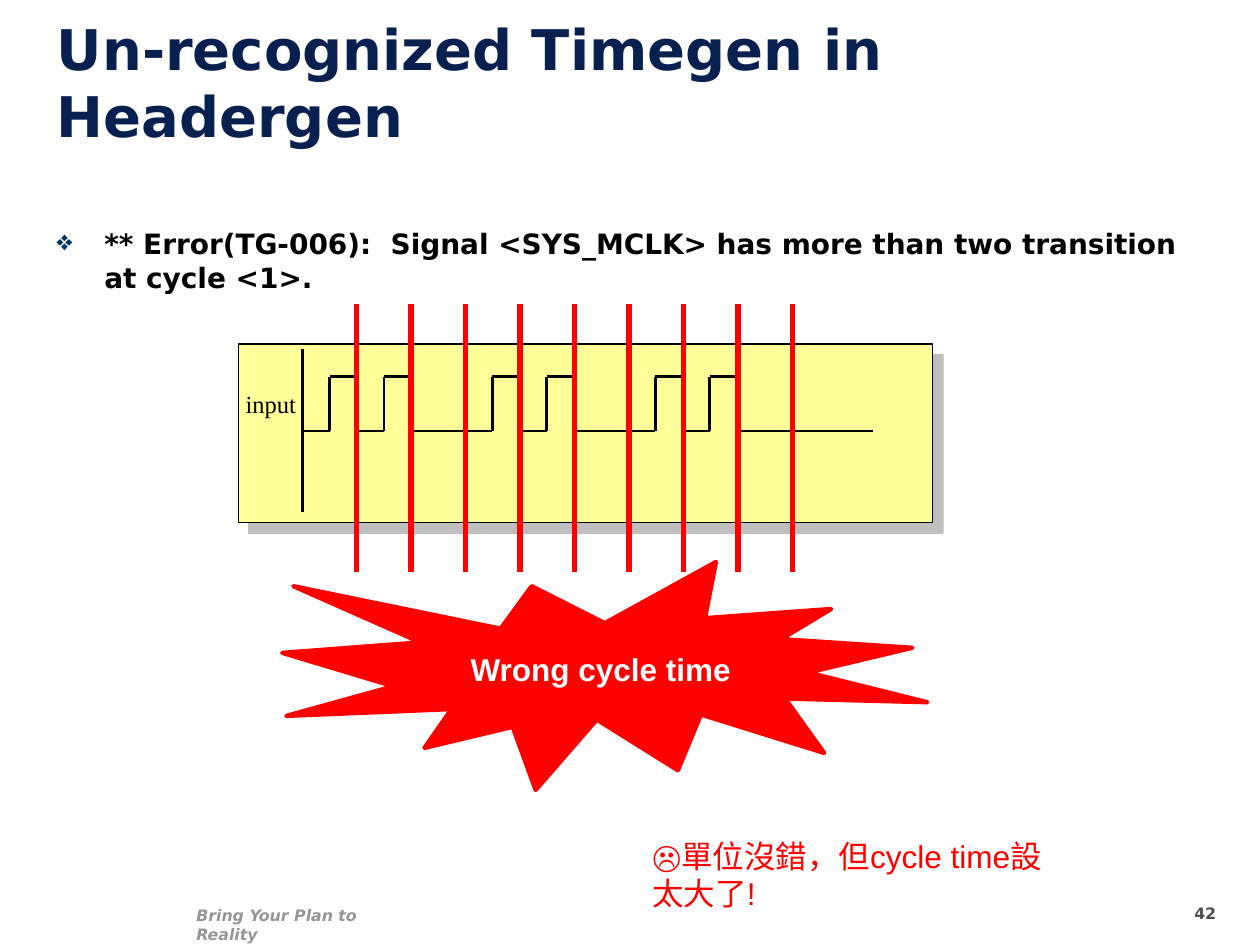
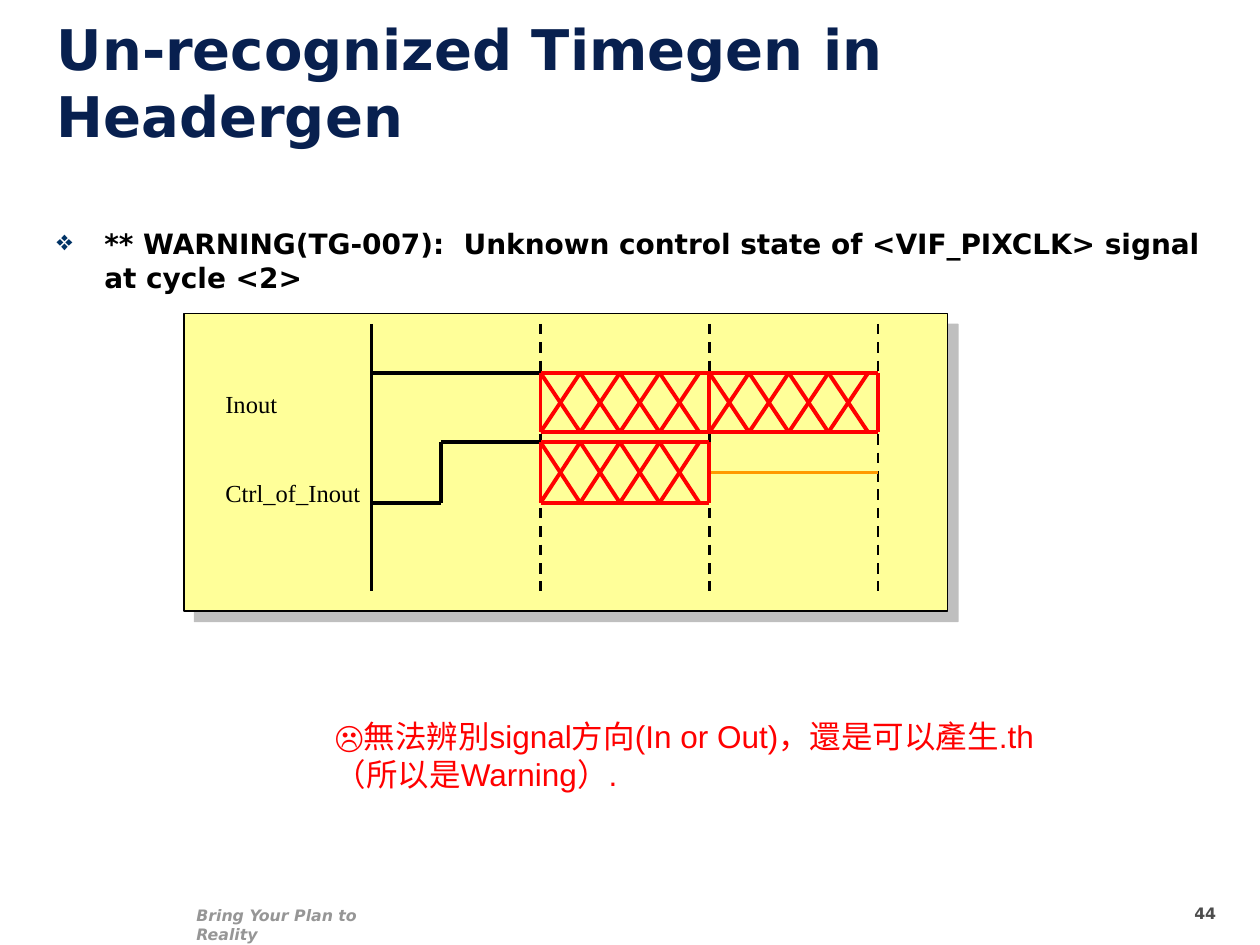
from itertools import pairwise

from lxml import etree
from pptx import Presentation
from pptx.dml.color import RGBColor
from pptx.enum.dml import MSO_LINE
from pptx.enum.shapes import MSO_CONNECTOR, MSO_SHAPE
from pptx.enum.text import MSO_ANCHOR, MSO_AUTO_SIZE, PP_ALIGN
from pptx.oxml.ns import qn
from pptx.util import Inches, Pt

BLACK, WHITE, RED, ORANGE = "000000", "FFFFFF", "FF0000", "FF9900"
NAVY, BULLET_BLUE, PALE_YELLOW = "08204F", "003366", "FFFF99"
FOOTER_GREY, NUMBER_GREY, SHADOW_GREY = "969696", "4D4D4D", "808080"

# Each style is a text colour and the font attributes that go with it.
STYLES = {
    "title": (NAVY, dict(name="DejaVu Sans", size=Pt(32), bold=True)),
    "message": (BLACK, dict(name="DejaVu Sans", size=Pt(16), bold=True)),
    "footer": (FOOTER_GREY, dict(name="DejaVu Sans", size=Pt(9), bold=True, italic=True)),
    "number": (NUMBER_GREY, dict(name="DejaVu Sans", size=Pt(9), bold=True)),
    "signal": (BLACK, dict(name="Times New Roman", size=Pt(14), bold=False)),
    "verdict": (WHITE, dict(name="Arial", size=Pt(18), bold=True)),
    "remark": (RED, dict(name="Arial", size=Pt(18), bold=False)),
}


def rgb(hex_color):
    return RGBColor.from_string(hex_color)


def inches(*lengths):
    return [Inches(length) for length in lengths]


def write(paragraph, text, style):
    paragraph.text = text
    color, font_values = STYLES[style]
    for run in paragraph.runs:
        for attribute, value in font_values.items():
            setattr(run.font, attribute, value)
        run.font.color.rgb = rgb(color)


def add_text(slide, box, text, style):
    frame = slide.shapes.add_textbox(*inches(*box)).text_frame
    frame.word_wrap = True
    write(frame.paragraphs[0], text, style)
    return frame


def add_title(slide, text):
    title = slide.shapes.title
    title.left, title.top, title.width, title.height = inches(0.35, 0.28, 7.17, 0.95)
    frame = title.text_frame
    frame.auto_size = MSO_AUTO_SIZE.NONE
    frame.vertical_anchor = MSO_ANCHOR.BOTTOM
    frame.paragraphs[0].alignment = PP_ALIGN.LEFT
    write(frame.paragraphs[0], text, "title")


def add_message(slide, text):
    """Add the tool's message as a paragraph with a diamond bullet."""
    paragraph = add_text(slide, (0.35, 1.75, 9.29, 1.06), text, "message").paragraphs[0]
    properties = paragraph._p.get_or_add_pPr()
    properties.set("marL", str(Inches(0.38)))
    properties.set("indent", str(-Inches(0.38)))
    bullet_color = etree.SubElement(properties, qn("a:buClr"))
    etree.SubElement(bullet_color, qn("a:srgbClr"), val=BULLET_BLUE)
    etree.SubElement(properties, qn("a:buChar"), char="❖")


def add_message_slide(deck, number, message):
    slide = deck.slides.add_slide(deck.slide_layouts[5])
    add_text(slide, (1.46, 7.14, 1.68, 0.25), "Bring Your Plan to Reality", "footer")
    add_text(slide, (9.38, 7.12, 0.58, 0.27), str(number), "number")
    add_title(slide, "Un-recognized Timegen in Headergen")
    add_message(slide, message)
    return slide


def add_filled_shape(slide, preset, box, fill, outline, outline_width):
    shape = slide.shapes.add_shape(preset, *inches(*box))
    shape.shadow.inherit = False
    shape.fill.solid()
    shape.fill.fore_color.rgb = rgb(fill)
    shape.line.color.rgb = rgb(outline)
    shape.line.width = Pt(outline_width)
    return shape


def add_diagram_panel(slide, box):
    """Add the yellow panel with a hard shadow to its lower right."""
    panel = add_filled_shape(slide, MSO_SHAPE.RECTANGLE, box, PALE_YELLOW, BLACK, 0.75)
    effects = panel._element.spPr.find(qn("a:effectLst"))
    shadow = etree.SubElement(effects, qn("a:outerShdw"), blurRad="0",
                              dist=str(Pt(8.5)), dir=str(45 * 60000),
                              algn="ctr", rotWithShape="0")
    color = etree.SubElement(shadow, qn("a:srgbClr"), val=SHADOW_GREY)
    etree.SubElement(color, qn("a:alpha"), val="50000")


def add_line(slide, start, end, color=BLACK, width=1.5, dashed=False):
    connector = slide.shapes.add_connector(MSO_CONNECTOR.STRAIGHT, *inches(*start, *end))
    connector.line.color.rgb = rgb(color)
    connector.line.width = Pt(width)
    if dashed:
        connector.line.dash_style = MSO_LINE.DASH
    etree.SubElement(connector._element.spPr, qn("a:effectLst"))


def add_trace(slide, points, width):
    for start, end in pairwise(points):
        add_line(slide, start, end, width=width)


def add_frame_marks(slide, marks, top, bottom):
    """Mark the time axis with a solid line and each later frame with a dashed one."""
    for index, x in enumerate(marks):
        add_line(slide, (x, top), (x, bottom), dashed=index > 0)


def add_unknown_state(slide, marks, top, bottom):
    """Fill each cycle between neighbouring marks with a row of crosses."""
    cross_count, cross_width = 4, 0.315

    def red_line(start, end):
        add_line(slide, start, end, RED, 2.25)

    for left, right in pairwise(marks):
        for y in (top, bottom):
            red_line((left, y), (right, y))
        for index in range(cross_count):
            cross_left = left + index * cross_width
            cross_right = cross_left + cross_width
            red_line((cross_left, top), (cross_right, bottom))
            red_line((cross_right, top), (cross_left, bottom))
    for x in marks:
        red_line((x, top), (x, bottom))


def add_double_pulse_diagram(slide):
    axis, last_mark, frame_count = 2.4, 6.28, 3
    high, low = 2.99, 3.42
    frame_width = (last_mark - axis) / frame_count
    step = frame_width / 6
    marks = [axis + index * frame_width for index in range(frame_count + 1)]

    add_diagram_panel(slide, (1.89, 2.73, 5.51, 1.42))
    add_frame_marks(slide, marks, 2.77, 4.06)
    add_text(slide, (1.85, 3.04, 1.29, 0.65), "input", "signal")
    two_pulses = [(0, low), (1, low), (1, high), (2, high), (2, low),
                  (3, low), (3, high), (4, high), (4, low), (6, low)]
    for frame_left in marks[:-1]:
        add_trace(slide, [(frame_left + steps * step, y) for steps, y in two_pulses], 1.5)
    add_line(slide, (last_mark, low), (6.93, low))


def add_cycle_cuts(slide):
    first, last, count = 2.83, 6.29, 9
    for index in range(count):
        x = first + index * (last - first) / (count - 1)
        add_line(slide, (x, 2.41), (x, 4.54), RED, 3)


def add_verdict(slide, text):
    burst = add_filled_shape(slide, MSO_SHAPE.EXPLOSION1, (2.24, 4.46, 5.12, 1.81),
                             RED, RED, 2.5)
    frame = burst.text_frame
    frame.word_wrap = False
    frame.vertical_anchor = MSO_ANCHOR.MIDDLE
    frame.paragraphs[0].alignment = PP_ALIGN.CENTER
    write(frame.paragraphs[0], text, "verdict")


def add_unknown_control_diagram(slide):
    axis, cycle_width = 2.95, 1.34
    marks = [axis + index * cycle_width for index in range(4)]
    inout_high, inout_low = 2.96, 3.43
    control_high, control_low = 3.51, 3.99
    control_rise = 3.5

    add_diagram_panel(slide, (1.46, 2.49, 6.06, 2.36))
    labels = add_text(slide, (1.69, 3.04, 1.42, 1.07), "Inout", "signal")
    control_label = labels.add_paragraph()
    control_label.space_before = Pt(34)
    write(control_label, "Ctrl_of_Inout", "signal")

    add_frame_marks(slide, marks, 2.57, 4.69)
    add_trace(slide, [(axis, inout_high), (marks[1], inout_high)], 2.25)
    add_trace(slide, [(axis, control_low), (control_rise, control_low),
                      (control_rise, control_high), (marks[1], control_high)], 2.25)
    add_line(slide, (marks[2], 3.75), (marks[3], 3.75), ORANGE, 2.25)
    add_unknown_state(slide, marks[1:3], control_high, control_low)
    add_unknown_state(slide, marks[1:], inout_high, inout_low)


def main():
    deck = Presentation()
    deck.slide_width, deck.slide_height = inches(10, 7.5)

    transition_error = add_message_slide(
        deck, 42,
        "** Error(TG-006):  Signal <SYS_MCLK> has more than two transition at cycle <1>.")
    add_double_pulse_diagram(transition_error)
    add_verdict(transition_error, "Wrong cycle time")
    add_cycle_cuts(transition_error)
    add_text(transition_error, (5.08, 6.59, 3.39, 0.7),
             "☹單位沒錯，但cycle time設太大了!", "remark")

    control_warning = add_message_slide(
        deck, 44,
        "** WARNING(TG-007):  Unknown control state of <VIF_PIXCLK> signal at cycle <2>")
    add_unknown_control_diagram(control_warning)
    add_text(control_warning, (2.56, 5.64, 5.83, 1),
             "☹無法辨別signal方向(In or Out)，還是可以產生.th\n（所以是Warning）.", "remark")

    deck.save("out.pptx")


if __name__ == "__main__":
    main()
